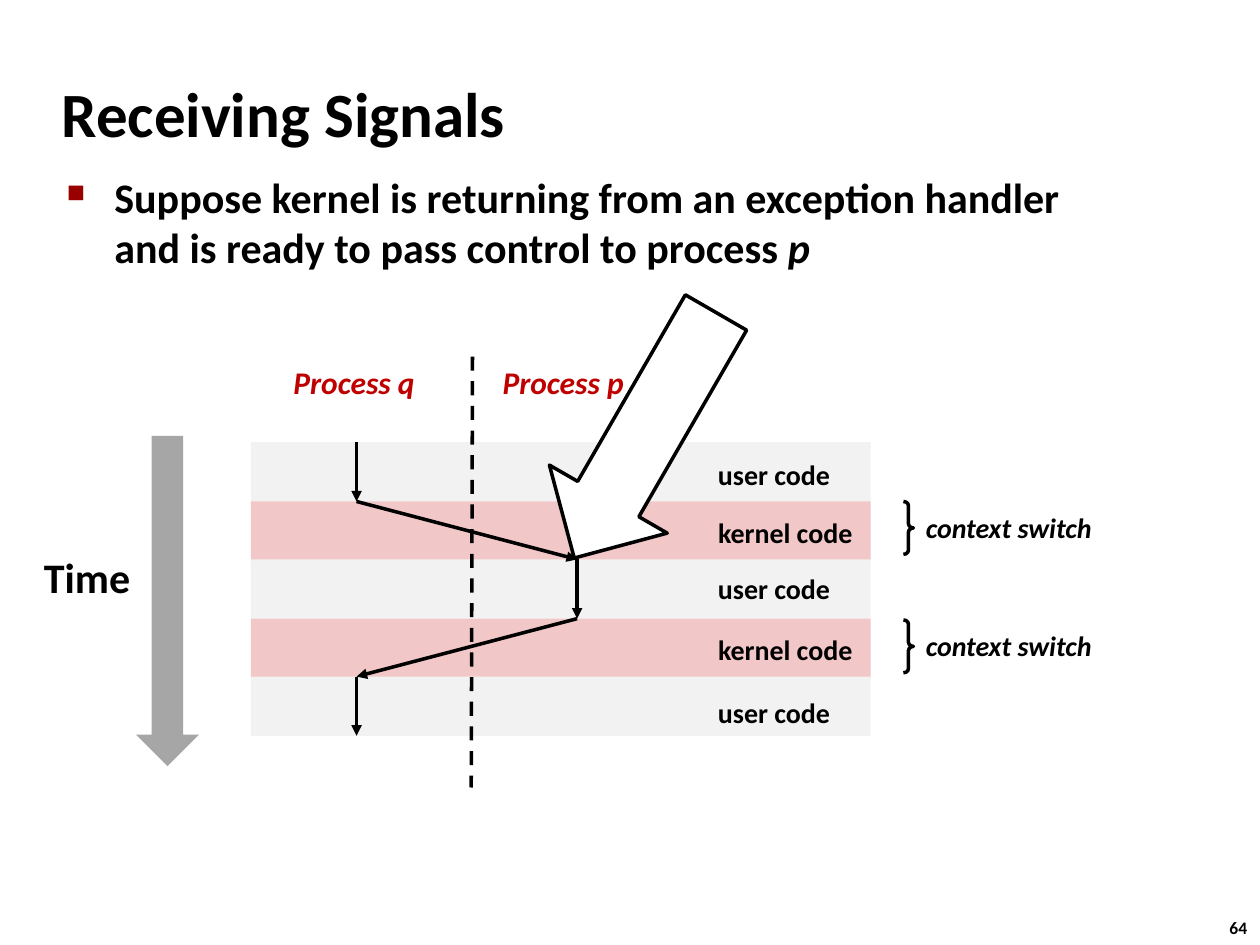
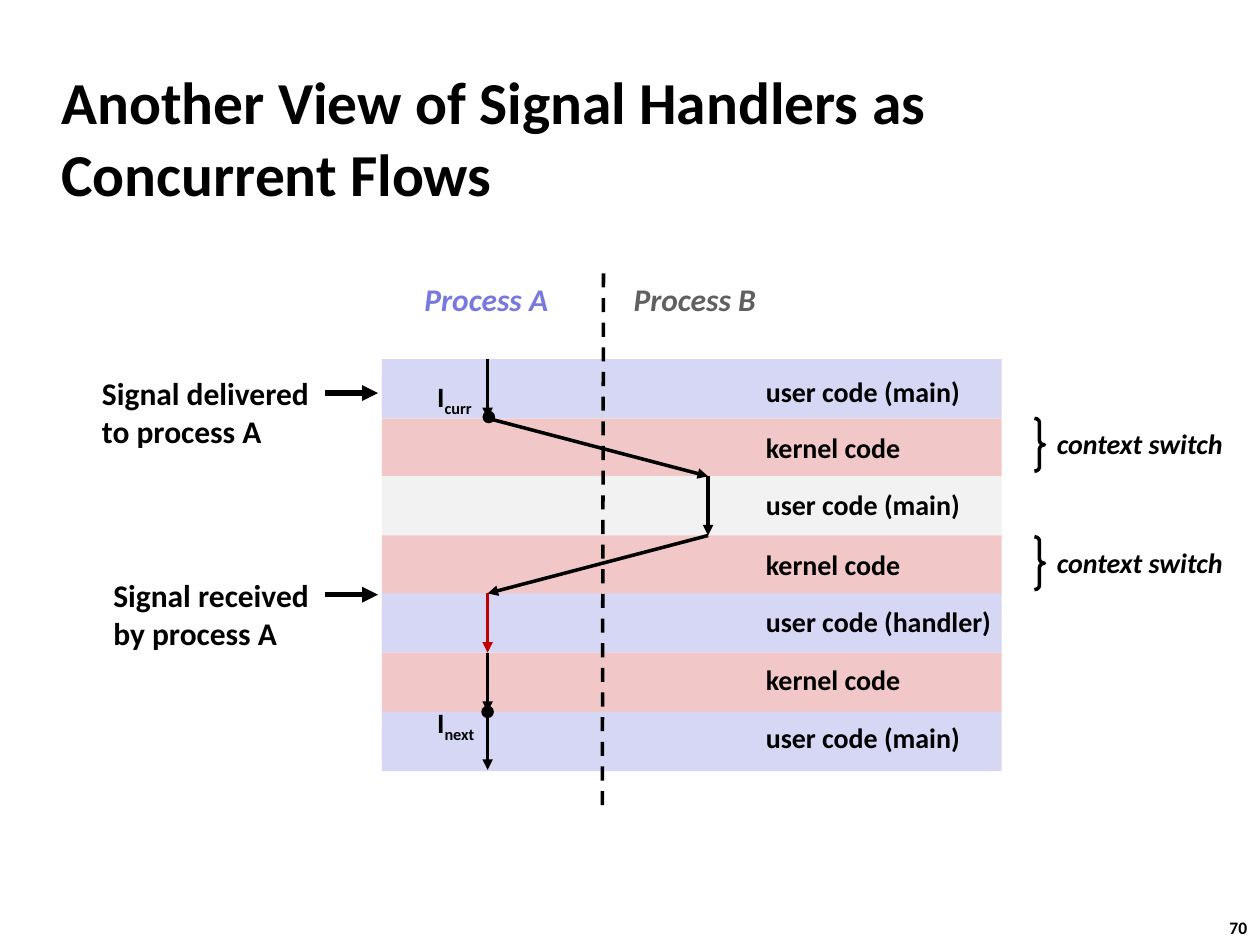
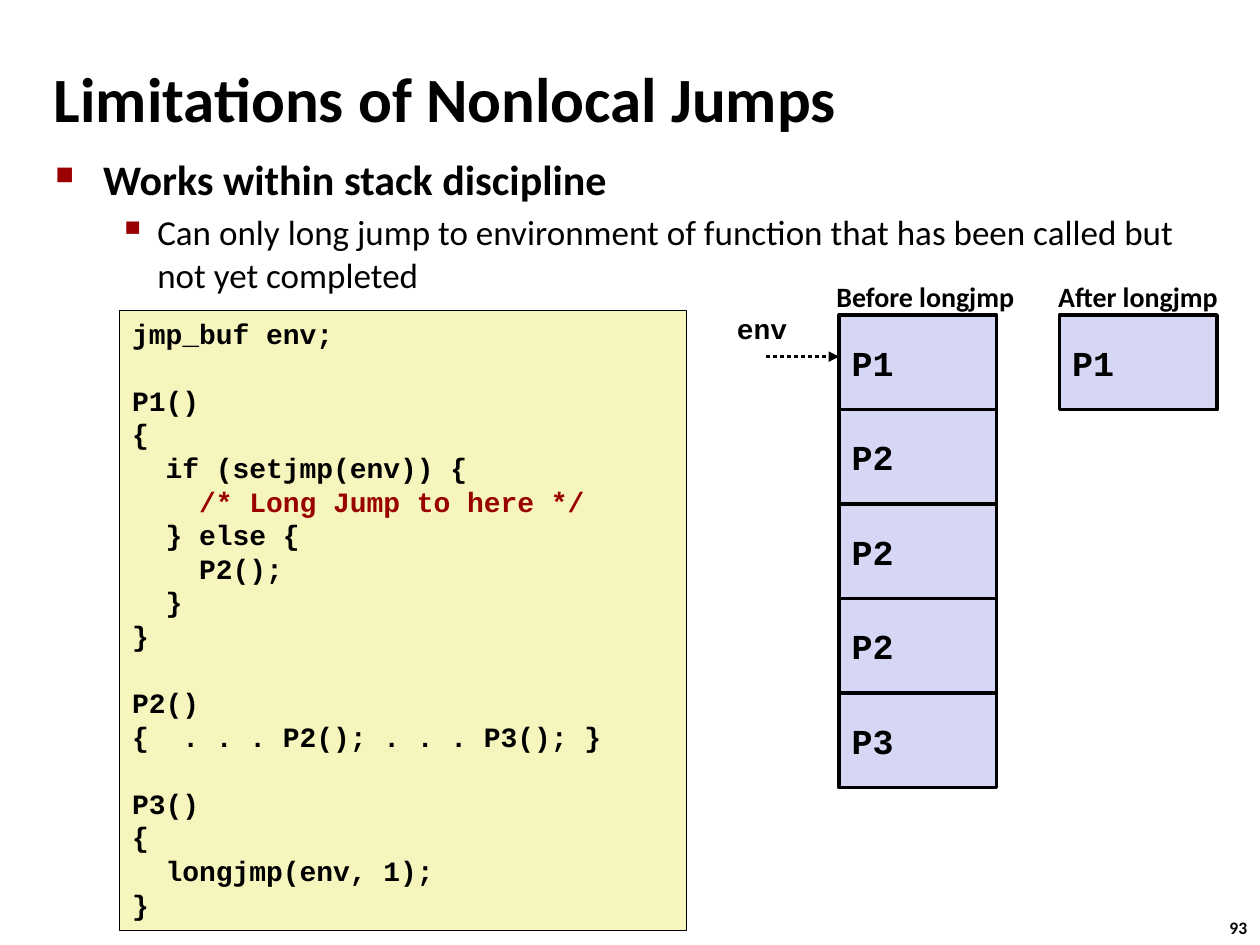
from dataclasses import dataclass

from lxml import etree
from pptx import Presentation
from pptx.dml.color import RGBColor
from pptx.enum.dml import MSO_LINE
from pptx.enum.shapes import MSO_CONNECTOR, MSO_SHAPE
from pptx.enum.text import MSO_ANCHOR, PP_ALIGN
from pptx.oxml.ns import qn
from pptx.util import Emu, Pt

PX = 9144  # 100 px to the inch
RECT, ELLIPSE = MSO_SHAPE.RECTANGLE, MSO_SHAPE.OVAL
BRACE, DOWN_ARROW = MSO_SHAPE.RIGHT_BRACE, MSO_SHAPE.DOWN_ARROW
STRAIGHT = MSO_CONNECTOR.STRAIGHT
DASH, DOTS = MSO_LINE.DASH, MSO_LINE.ROUND_DOT
TOP, MIDDLE, LEFT = MSO_ANCHOR.TOP, MSO_ANCHOR.MIDDLE, PP_ALIGN.LEFT


@dataclass(frozen=True)
class Theme:
    sans: str = "Calibri"
    mono: str = "Courier New"
    black: str = "000000"
    white: str = "FFFFFF"
    red: str = "C00000"
    dark_red: str = "990000"
    violet: str = "7878DE"
    dark_gray: str = "606060"
    time_gray: str = "A6A6A6"
    kernel: str = "F1C7C7"
    user: str = "F2F2F2"
    user_a: str = "D6D6F5"
    code: str = "F6F5BD"
    title: int = 36
    long_title: int = 34
    body: int = 24
    detail: int = 20
    heading: int = 18
    label: int = 16
    page: int = 10


T = Theme()


def add_box(slide, box, paragraphs=(), size=T.label, color=T.black, font=T.sans, italic=False,
            wrap=False, anchor=TOP, inset=10, preset=None, fill=None, line=None, weight=2):
    """Add a preset shape, or a text box if there is none; a paragraph is a string or a tuple of runs."""
    frame_px = [Emu(v * PX) for v in box]
    if preset is None:
        shape = slide.shapes.add_textbox(*frame_px)
    else:
        shape = slide.shapes.add_shape(preset, *frame_px)
        shape.shadow.inherit = False
        if fill:
            shape.fill.solid()
            shape.fill.fore_color.rgb = RGBColor.from_string(fill)
        else:
            shape.fill.background()
        if line:
            shape.line.color.rgb = RGBColor.from_string(line)
            shape.line.width = Pt(weight)
        else:
            shape.line.fill.background()
    frame = shape.text_frame
    frame.word_wrap, frame.vertical_anchor = wrap, anchor
    frame.margin_left = frame.margin_right = Emu(inset * PX)
    for i, parts in enumerate(paragraphs):
        paragraph = frame.add_paragraph() if i else frame.paragraphs[0]
        paragraph.alignment = LEFT
        for part in [parts] if isinstance(parts, str) else parts:
            if part:
                paragraph.add_run().text = part
        for run in paragraph.runs:
            run.font.name, run.font.size = font, Pt(size)
            run.font.bold, run.font.italic = True, italic
            run.font.color.rgb = RGBColor.from_string(color)
        if not paragraph.runs:
            end = etree.SubElement(paragraph._p, qn("a:endParaRPr"), sz=str(size * 100))
            etree.SubElement(end, qn("a:latin"), typeface=font)
    return shape


def add_line(slide, start, end, color=T.black, weight=2, dash=None, arrow=True):
    connector = slide.shapes.add_connector(STRAIGHT, *[Emu(v * PX) for v in (*start, *end)])
    connector.line.color.rgb = RGBColor.from_string(color)
    connector.line.width = Pt(weight)
    if dash:
        connector.line.dash_style = dash
    if arrow:
        etree.SubElement(connector.line._get_or_add_ln(), qn("a:tailEnd"), type="triangle")
    etree.SubElement(connector._element.spPr, qn("a:effectLst"))


prs = Presentation()
prs.slide_width, prs.slide_height = Emu(1000 * PX), Emu(750 * PX)

# Titles, page numbers and bullets
# level: size, bold, bullet, bullet size in thousandths of a percent, margin, hanging
BULLETS = [(T.body, True, "■", 60000, 38, 38), (T.detail, False, "▪", 110000, 81, 31)]
PAGES = [
    ("64", "Receiving Signals", (39, 48, 830, 83), T.title, (43, 131, 864, 119),
     [("Suppose kernel is returning from an exception handler "
       "and is ready to pass control to process ", "p")]),
    ("70", "Another View of Signal Handlers as Concurrent Flows", (39, 67, 830, 83),
     T.long_title, None, []),
    ("93", "Limitations of Nonlocal Jumps", (33, 46, 785, 63), T.title, (34, 117, 909, 127),
     ["Works within stack discipline",
      "Can only long jump to environment of function that has been called but not yet completed"]),
]
slides = []
for number, title, title_box, title_size, body_box, points in PAGES:
    slide = prs.slides.add_slide(prs.slide_layouts[6])
    slides.append(slide)
    add_box(slide, (966, 723, 37, 27), [number], T.page)
    add_box(slide, title_box, [title], title_size, wrap=True, anchor=MIDDLE)
    if not points:
        continue
    body = add_box(slide, body_box, points, wrap=True)
    for level, paragraph in enumerate(body.text_frame.paragraphs):
        size, bold, mark, mark_size, margin, hanging = BULLETS[level]
        props = paragraph._p.get_or_add_pPr()
        props.set("marL", str(margin * PX))
        props.set("indent", str(-hanging * PX))
        mark_color = etree.SubElement(props, qn("a:buClr"))
        etree.SubElement(mark_color, qn("a:srgbClr"), val=T.dark_red)
        etree.SubElement(props, qn("a:buSzPct"), val=str(mark_size))
        etree.SubElement(props, qn("a:buChar"), char=mark)
        if level:
            paragraph.level = level
            paragraph.space_before = Pt(size * 0.2)
        for run in paragraph.runs:
            run.font.size, run.font.bold = Pt(size), bold
        for run in paragraph.runs[1:]:
            run.font.italic = True

receiving, handlers, jumps = slides

# Timelines: bands of code with control passing between two processes
BAND_W, BAND_H, BAND_PITCH = 492, 47, 46.6
LANE_X = {"left": 84, "right": 259}
LABEL_W = {"user code": 110, "kernel code": 128, "user code (main)": 176,
           "user code (handler)": 202}
TIMELINES = [
    dict(slide=receiving, left=199, top=351, label_left=560, divider_end=625,
         processes=[("Process q", T.red), ("Process p", T.red)],
         bands=[("user code", T.user, 358), ("kernel code", T.kernel, 404),
                ("user code", T.user, 449), ("kernel code", T.kernel, 497),
                ("user code", T.user, 547)],
         lanes=["left", "left", "right", "right", "left", "left"]),
    dict(slide=handlers, left=303, top=285, label_left=598, divider_end=647,
         processes=[("Process A", T.violet), ("Process B", T.dark_gray)],
         bands=[("user code (main)", T.user_a, 292), ("kernel code", T.kernel, 337),
                ("user code (main)", T.user, 382), ("kernel code", T.kernel, 430),
                ("user code (handler)", T.user_a, 475), ("kernel code", T.kernel, 521),
                ("user code (main)", T.user_a, 567)],
         lanes=["left", "left", "right", "right", "left", "left", "left", "left"]),
]
for timeline in TIMELINES:
    slide, left, top = timeline["slide"], timeline["left"], timeline["top"]
    edges = [top + round(i * BAND_PITCH) for i in range(len(timeline["lanes"]))]
    for (label, fill, label_top), edge in zip(timeline["bands"], edges):
        add_box(slide, (left, edge, BAND_W, BAND_H), preset=RECT, fill=fill)
    for label, fill, label_top in timeline["bands"]:
        add_box(slide, (timeline["label_left"], label_top, LABEL_W[label], 37), [label])
    for i, (process, color) in enumerate(timeline["processes"]):
        add_box(slide, (left + 24 + 166 * i, top - 68, 119, 40), [process], T.heading, color,
                italic=True)
    add_line(slide, (left + 176, top - 68), (left + 175, timeline["divider_end"]),
             dash=DASH, arrow=False)
    for switch_top in (edges[1], edges[3] + 1):
        brace = add_box(slide, (left + 518, switch_top, 8, 42), preset=BRACE, line=T.black)
        brace.adjustments[0] = 0.42
        add_box(slide, (left + 526, switch_top + 2, 154, 37), ["context switch"], italic=True)
    stops = [(left + LANE_X[lane], edge) for lane, edge in zip(timeline["lanes"], edges)]
    for (label, _, _), start, end in zip(timeline["bands"], stops, stops[1:]):
        add_line(slide, start, end, T.red if "handler" in label else T.black)

# Receiving Signals: time axis and the moment of return
add_box(receiving, (25, 433, 89, 50), ["Time"], T.body)
add_box(receiving, (108, 346, 50, 262), preset=DOWN_ARROW, fill=T.time_gray)
pointer = add_box(receiving, (458, 233, 108, 225), preset=DOWN_ARROW, fill=T.white, line=T.black)
pointer.adjustments[0] = 0.52
pointer.rotation = 30

# Signal handlers: signal events and instructions
for text_box, lines, arrow_y in [
    ((76, 292, 177, 71), ["Signal delivered", "to process A"], 312),
    ((85, 452, 167, 71), ["Signal received", "by process A"], 472),
]:
    add_box(handlers, text_box, lines, T.heading, inset=5)
    add_line(handlers, (258, arrow_y), (300, arrow_y), weight=3)
for subscript, width, text_top, dot_left, dot_top in [
    ("curr", 41, 296, 383, 326), ("next", 44, 555, 382, 560),
]:
    instruction = add_box(handlers, (342, text_top, width, 37), [("I", subscript)], inset=5)
    instruction.text_frame.paragraphs[0].runs[1].font._element.set("baseline", "-25000")
    add_box(handlers, (dot_left, dot_top, 10, 10), preset=ELLIPSE, fill=T.black)

# Nonlocal jumps: code and stacks
CODE = """jmp_buf env;

P1()
{
  if (setjmp(env)) {
    /* Long Jump to here */
  } else {
    P2();
  }
}

P2()
{  . . . P2(); . . . P3(); }

P3()
{
  longjmp(env, 1);
}"""
listing = add_box(jumps, (95, 246, 450, 492), CODE.split("\n"), font=T.mono, wrap=True,
                  preset=RECT, fill=T.code, line=T.black, weight=0.25)
for paragraph in listing.text_frame.paragraphs:
    if "/*" in paragraph.text:
        paragraph.runs[0].font.color.rgb = RGBColor.from_string(T.dark_red)

FRAME_W, FRAME_H, STACK_TOP = 125, 75, 250
for heading, heading_left, heading_w, stack_left, calls in [
    ("Before longjmp", 654, 163, 666, ["P1", "P2", "P2", "P2", "P3"]),
    ("After longjmp", 830, 149, 841, ["P1"]),
]:
    for i, call in enumerate(calls):
        add_box(jumps, (stack_left, STACK_TOP + i * FRAME_H, FRAME_W, FRAME_H), [call], T.detail,
                font=T.mono, wrap=True, anchor=MIDDLE, preset=RECT, fill=T.user_a, line=T.black)
    add_box(jumps, (heading_left, 217, heading_w, 37), [heading])
add_box(jumps, (575, 242, 60, 37), ["env"], font=T.mono)
add_line(jumps, (608, 283), (666, 283), dash=DOTS)

prs.save("out.pptx")
